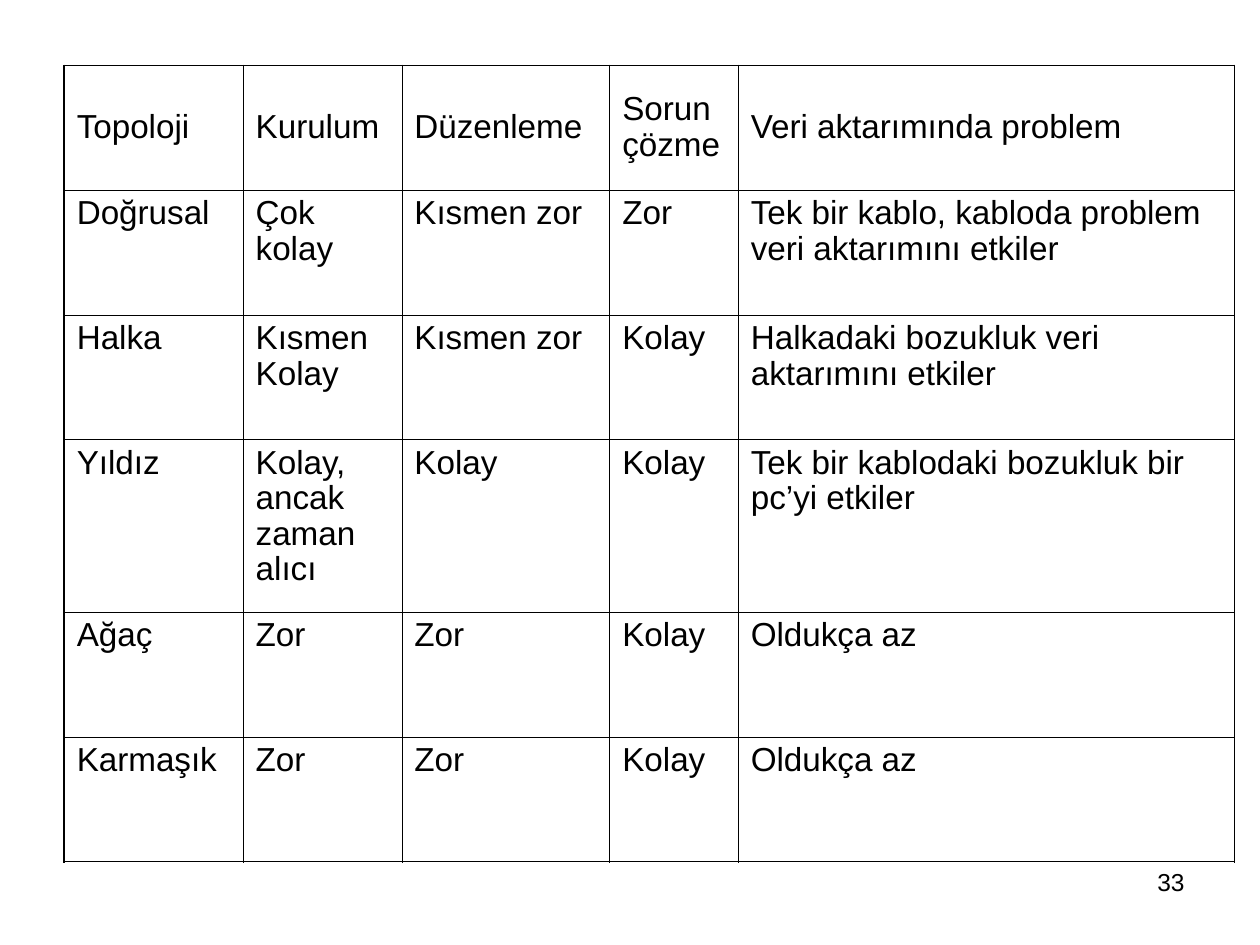
from lxml.etree import SubElement
from pptx import Presentation
from pptx.dml.color import RGBColor
from pptx.enum.text import MSO_ANCHOR, PP_ALIGN
from pptx.oxml.ns import qn
from pptx.util import Inches, Pt

COLORS = {"ink": "000000", "paper": "FFFFFF"}
COLS = [1.42, 1.26, 1.65, 1.02, 3.94]
ROWS = [0.99, 0.99, 0.99, 1.37, 0.99, 0.99]
DATA = [
    ["Topoloji", "Kurulum", "Düzenleme", "Sorun çözme", "Veri aktarımında problem"],
    ["Doğrusal", "Çok kolay", "Kısmen zor", "Zor",
     "Tek bir kablo, kabloda problem veri aktarımını etkiler"],
    ["Halka", "Kısmen Kolay", "Kısmen zor", "Kolay",
     "Halkadaki bozukluk veri aktarımını etkiler"],
    ["Yıldız", "Kolay, ancak zaman alıcı", "Kolay", "Kolay",
     "Tek bir kablodaki bozukluk bir pc’yi etkiler"],
    ["Ağaç", "Zor", "Zor", "Kolay", "Oldukça az"],
    ["Karmaşık", "Zor", "Zor", "Kolay", "Oldukça az"],
]


def apply(item, values):
    for name, value in values.items():
        setattr(item, name, value)


class Deck:
    font = "Arial"
    thin = 0.45
    thick = 1.08
    plain = {"first_row": False, "horz_banding": False}
    inset = {"margin_left": Inches(0.1), "margin_right": Inches(0.1),
             "margin_top": Inches(0.05), "margin_bottom": Inches(0.05)}
    body = {"space_before": Pt(4.8), "line_spacing": 0.96}

    def __init__(self):
        self.show = Presentation()
        apply(self.show, {"slide_width": Inches(10), "slide_height": Inches(7.5)})
        self.slide = self.show.slides.add_slide(self.show.slide_layouts[6])
        fill = self.slide.background.fill
        fill.solid()
        fill.fore_color.rgb = RGBColor.from_string(COLORS["paper"])

    def words(self, frame, text, size, form):
        frame.word_wrap = True
        line = frame.paragraphs[0]
        apply(line, form)
        run = line.add_run()
        run.text = text
        apply(run.font, {"name": self.font, "size": Pt(size)})
        run.font.color.rgb = RGBColor.from_string(COLORS["ink"])

    def border(self, cell, outer):
        props = cell._tc.get_or_add_tcPr()
        for side, edge in outer.items():
            width = Pt(self.thick if edge else self.thin)
            line = SubElement(props, qn(f"a:ln{side}"), w=str(int(width)))
            fill = SubElement(line, qn("a:solidFill"))
            SubElement(fill, qn("a:srgbClr"), val=COLORS["ink"])

    def table(self, left, top, cols, rows, data):
        frame = self.slide.shapes.add_table(
            len(rows), len(cols), Inches(left), Inches(top),
            Inches(sum(cols)), Inches(sum(rows)))
        grid = frame.table
        apply(grid, self.plain)
        for col, width in zip(grid.columns, cols):
            col.width = Inches(width)
        for row, height in zip(grid.rows, rows):
            row.height = Inches(height)
        for r, texts in enumerate(data):
            for c, text in enumerate(texts):
                cell = grid.cell(r, c)
                anchor = MSO_ANCHOR.TOP if r else MSO_ANCHOR.MIDDLE
                apply(cell, {**self.inset, "vertical_anchor": anchor})
                self.words(cell.text_frame, text, 19, self.body)
                self.border(cell, {"L": c == 0, "R": c == len(cols) - 1,
                                   "T": r == 0, "B": r == len(rows) - 1})
                cell.fill.background()

    def label(self, left, top, width, height, text, size, align):
        box = self.slide.shapes.add_textbox(
            Inches(left), Inches(top), Inches(width), Inches(height))
        apply(box.text_frame, self.inset)
        self.words(box.text_frame, text, size, {"alignment": align})


def main():
    deck = Deck()
    deck.table(0.51, 0.52, COLS, ROWS, DATA)
    deck.label(7.17, 6.83, 2.33, 0.52, "33", 14, PP_ALIGN.RIGHT)
    deck.show.save("out.pptx")


if __name__ == "__main__":
    main()
